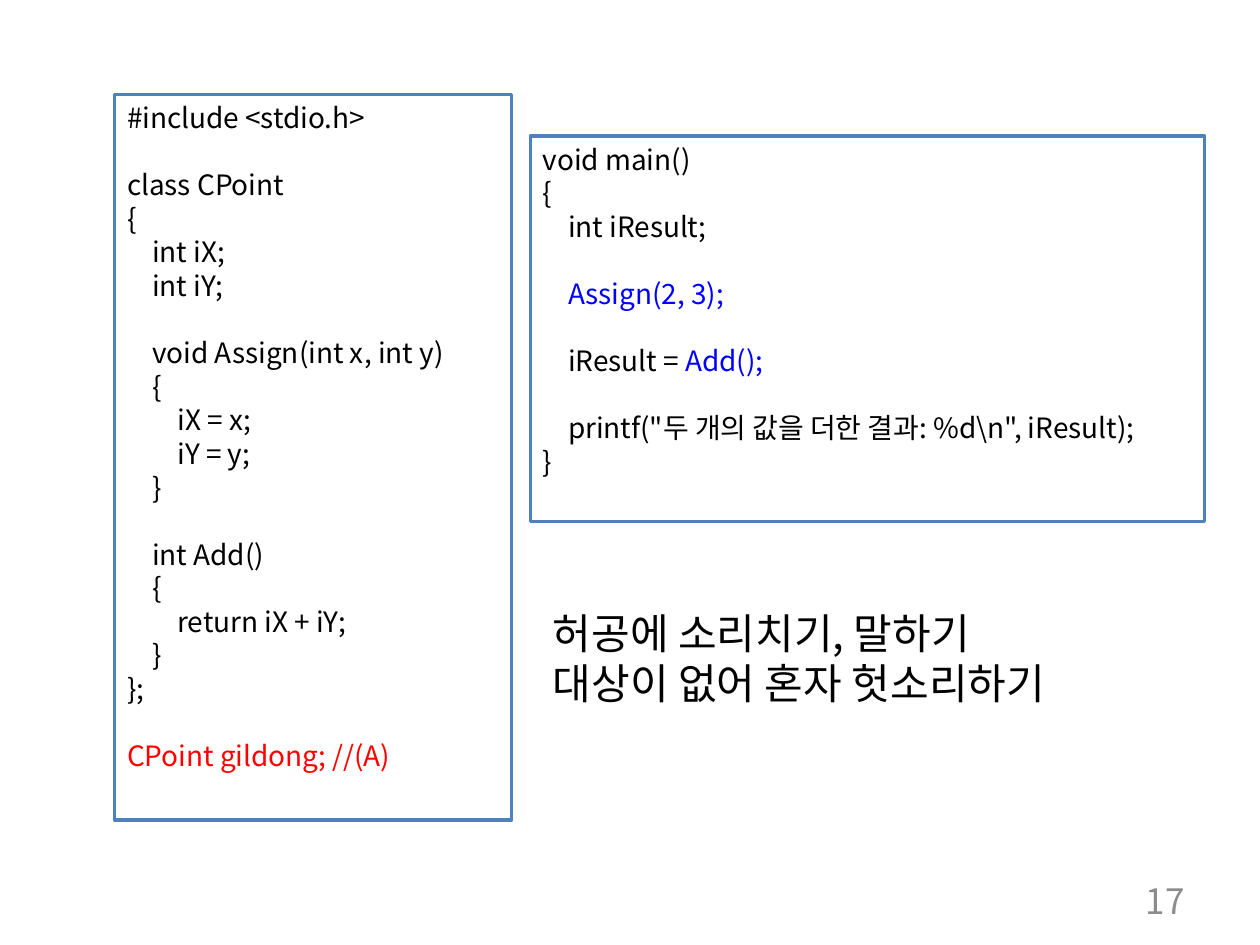
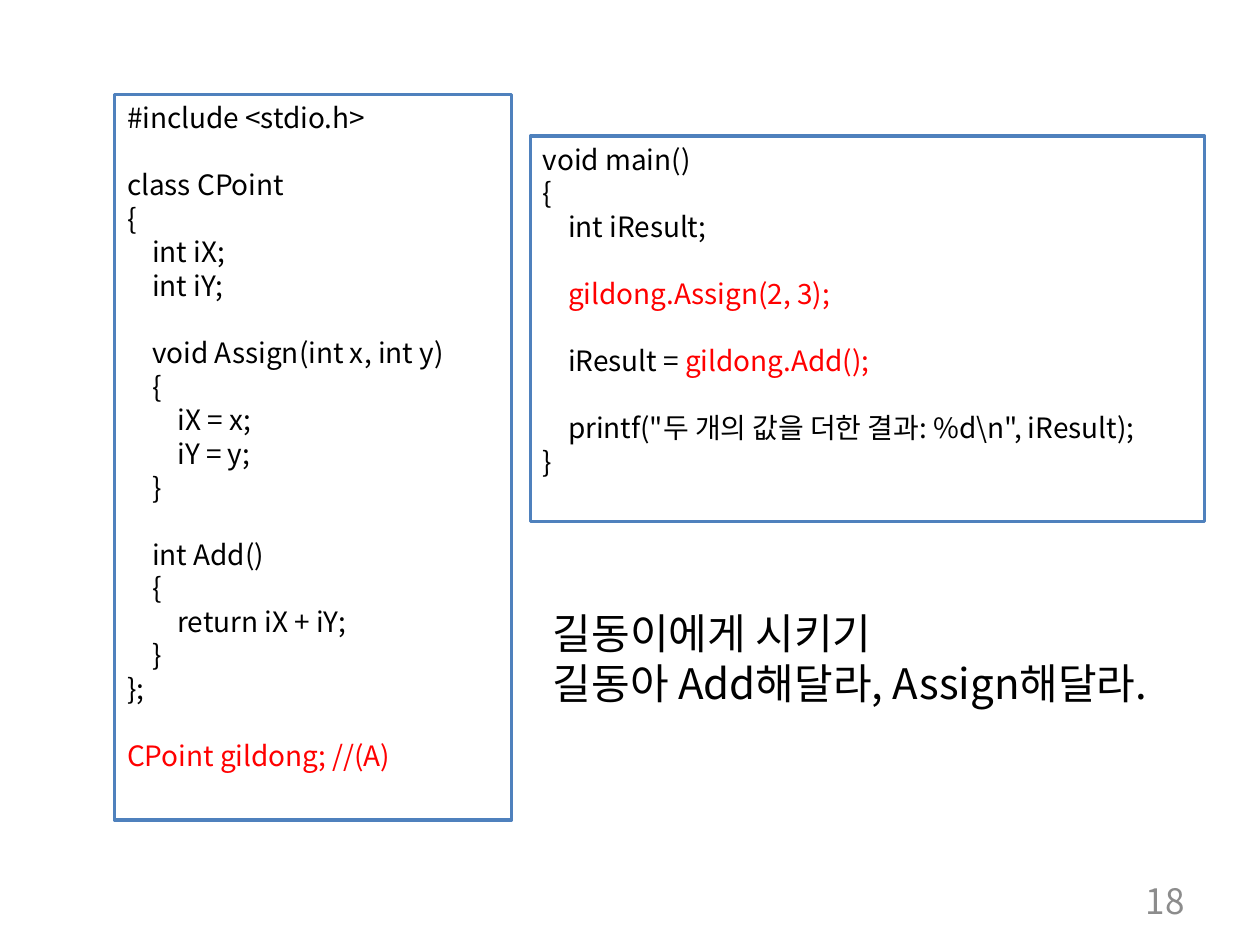
from pptx import Presentation, util as u
from pptx.dml.color import RGBColor
from pptx.enum import shapes, text
from pptx.oxml import parse_xml
from pptx.oxml.ns import nsdecls

FONT = "Noto Sans CJK KR"
BLACK = RGBColor(0, 0, 0)
WHITE = RGBColor(255, 255, 255)
RED = RGBColor(255, 0, 0)
BLUE = RGBColor(0, 0, 255)
BORDER = RGBColor(0x4F, 0x81, 0xBD)
GREY = RGBColor(0x8C, 0x8C, 0x8C)

COLUMNS, ROWS = 100, 75
LEADING = 1.2
TAB_SPACES, TAB_WIDTH = 4, u.Inches(0.2)

OBJECT_LINE = "CPoint gildong; //(A)"
CLASS_CODE = f"""#include <stdio.h>

class CPoint
{{
    int iX;
    int iY;

    void Assign(int x, int y)
    {{
        iX = x;
        iY = y;
    }}

    int Add()
    {{
        return iX + iY;
    }}
}};

{OBJECT_LINE}"""

CALLS = ("Assign(2, 3);", "Add();")


def main_code(assign, add):
    return rf"""void main()
{{
    int iResult;

    {assign}

    iResult = {add}

    printf("두 개의 값을 더한 결과: %d\n", iResult);
}}"""


class Lesson:
    """Holds the deck, its style and the page being filled."""

    def __init__(self):
        self.deck = Presentation()
        self.deck.slide_width = u.Inches(10)
        self.deck.slide_height = u.Inches(7.5)
        self.page = None

    def new_page(self):
        self.page = self.deck.slides.add_slide(self.deck.slide_layouts[6])

    def place(self, left, top, width, height):
        """Turn grid columns and rows into slide lengths."""
        column = self.deck.slide_width / COLUMNS
        row = self.deck.slide_height / ROWS
        return [round(cells * size) for cells, size
                in zip((left, top, width, height), (column, row) * 2)]

    def add_span(self, para, words, size, color):
        span = para.add_run()
        span.text = words
        span.font.name = FONT
        span.font.size = u.Pt(size)
        span.font.color.rgb = color
        span.font._element.append(
            parse_xml(f'<a:ea {nsdecls("a")} typeface="{FONT}"/>'))

    def fill_text(self, frame, words, size, color=BLACK, marks=None,
                  align=text.PP_ALIGN.LEFT, anchor=text.MSO_ANCHOR.TOP):
        """Set lines of text: indents become margins, empty lines become
        spacing, and the phrases in marks take their own colour."""
        frame.word_wrap = True
        frame.vertical_anchor = anchor
        line_height = u.Pt(size * LEADING)
        para, gap = None, 0
        for line in words.split("\n"):
            if not line:
                gap += line_height
                continue
            para = frame.paragraphs[0] if para is None else frame.add_paragraph()
            para.alignment = align
            para.line_spacing = line_height
            para.space_before, gap = u.Emu(gap), 0
            content = line.lstrip()
            depth = (len(line) - len(content)) // TAB_SPACES
            para._p.get_or_add_pPr().set("marL", str(depth * TAB_WIDTH))
            for phrase, mark_color in (marks or {}).items():
                if content.endswith(phrase):
                    before = content.removesuffix(phrase)
                    if before:
                        self.add_span(para, before, size, color)
                    self.add_span(para, phrase, size, mark_color)
                    break
            else:
                self.add_span(para, content, size, color)

    def code_box(self, area, code, marks):
        box = self.page.shapes.add_shape(
            shapes.MSO_SHAPE.RECTANGLE, *self.place(*area))
        box.shadow.inherit = False
        box.fill.solid()
        box.fill.fore_color.rgb = WHITE
        box.line.color.rgb = BORDER
        box.line.width = u.Pt(2)
        self.fill_text(box.text_frame, code, 16, marks=marks)

    def label(self, area, words, size, **style):
        box = self.page.shapes.add_textbox(*self.place(*area))
        self.fill_text(box.text_frame, words, size, **style)

    def code_page(self, number, receiver, call_color, remark, remark_width):
        self.new_page()
        calls = [receiver + call for call in CALLS]
        self.code_box((9.1, 7.5, 31.5, 57.6), CLASS_CODE, {OBJECT_LINE: RED})
        self.code_box((42.1, 10.8, 53.5, 30.6), main_code(*calls),
                      dict.fromkeys(calls, call_color))
        self.label((42.9, 47.7, remark_width, 9.1), remark, 24)
        self.label((71.7, 69.5, 23.3, 4), str(number), 20, color=GREY,
                   align=text.PP_ALIGN.RIGHT, anchor=text.MSO_ANCHOR.MIDDLE)


def main():
    lesson = Lesson()
    lesson.code_page(17, "", BLUE,
                     "허공에 소리치기, 말하기\n대상이 없어 혼자 헛소리하기", 41.1)
    lesson.code_page(18, "gildong.", RED,
                     "길동이에게 시키기\n길동아 Add해달라, Assign해달라.", 49.8)
    lesson.deck.save("out.pptx")


if __name__ == "__main__":
    main()
